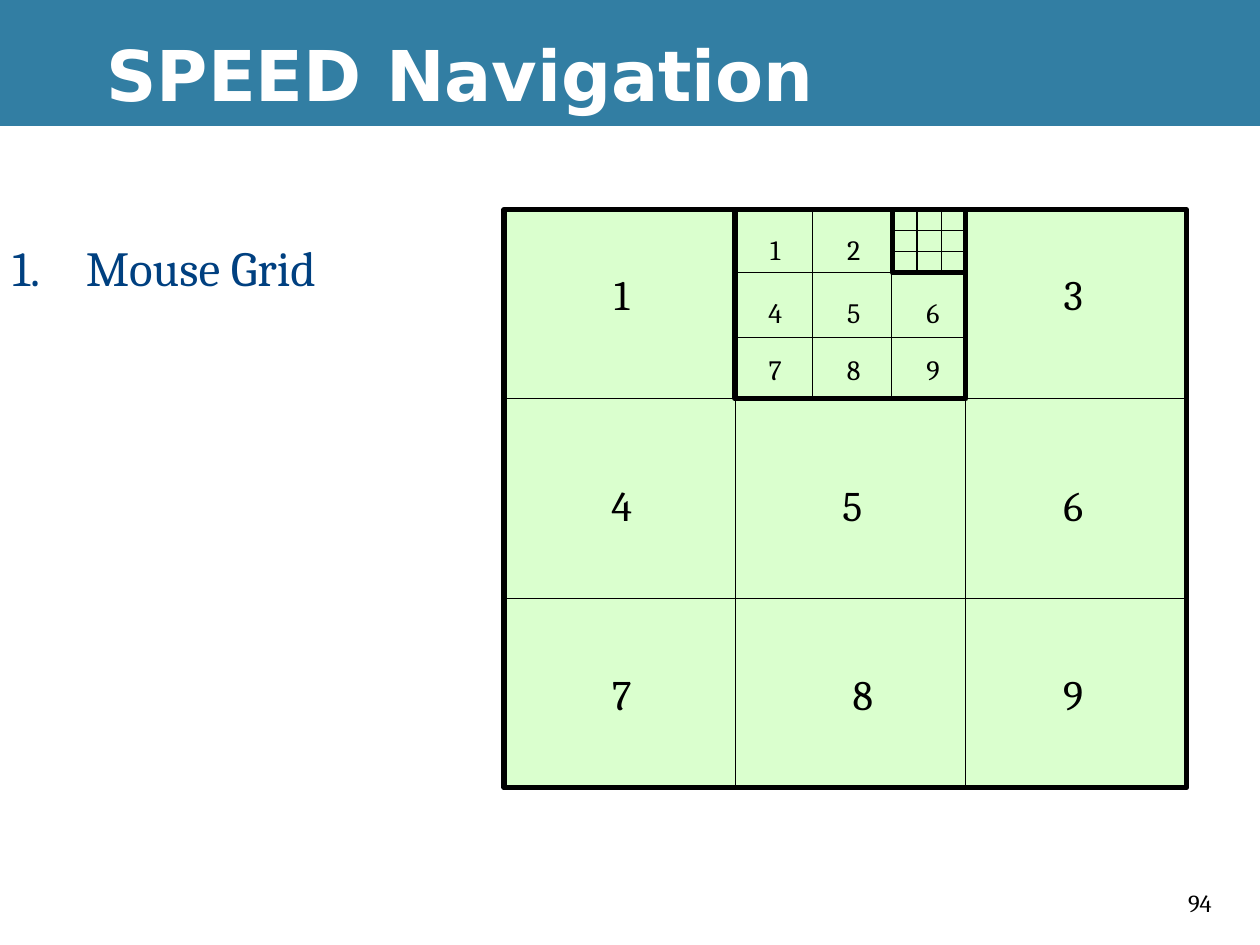
"""Build the SPEED Navigation slide with its nested mouse grid."""
from lxml import etree
from pptx import Presentation
from pptx.dml.color import RGBColor
from pptx.enum.shapes import MSO_CONNECTOR, MSO_SHAPE
from pptx.enum.text import MSO_ANCHOR, PP_ALIGN
from pptx.oxml.ns import qn
from pptx.util import Cm, Pt

BLACK = RGBColor(0x00, 0x00, 0x00)
WHITE = RGBColor(0xFF, 0xFF, 0xFF)
BANNER_BLUE = RGBColor(0x32, 0x7E, 0xA3)
TEXT_BLUE = RGBColor(0x00, 0x40, 0x80)
GRID_GREEN = RGBColor(0xDA, 0xFF, 0xCE)
RECTANGLE = MSO_SHAPE.RECTANGLE
STRAIGHT = MSO_CONNECTOR.STRAIGHT
TOP, MIDDLE = MSO_ANCHOR.TOP, MSO_ANCHOR.MIDDLE
LEFT, CENTER = PP_ALIGN.LEFT, PP_ALIGN.CENTER
SERIF, SANS = "Cambria", "DejaVu Sans"


def add_panel(shapes, left, top, width, height, fill, border=None):
    panel = shapes.add_shape(RECTANGLE, Cm(left), Cm(top), Cm(width), Cm(height))
    panel.shadow.inherit = False
    panel.fill.solid()
    panel.fill.fore_color.rgb = fill
    if border is None:
        panel.line.fill.background()
    else:
        panel.line.color.rgb = border
        panel.line.width = Pt(3)


def add_rule(shapes, x1, y1, x2, y2):
    rule = shapes.add_connector(STRAIGHT, Cm(x1), Cm(y1), Cm(x2), Cm(y2))
    rule.line.color.rgb = BLACK
    rule.line.width = Pt(0.75)
    etree.SubElement(rule._element.spPr, qn("a:effectLst"))


def add_text(shapes, text, left, top, width, height, *, size, font=SERIF,
             color=BLACK, bold=False, align=LEFT, anchor=TOP, inset=0.25,
             number_indent=None):
    box = shapes.add_textbox(Cm(left), Cm(top), Cm(width), Cm(height))
    frame = box.text_frame
    frame.word_wrap = True
    frame.vertical_anchor = anchor
    frame.margin_left = frame.margin_right = Cm(inset)
    paragraph = frame.paragraphs[0]
    paragraph.text = text
    paragraph.alignment = align
    if number_indent is not None:
        properties = paragraph._p.get_or_add_pPr()
        properties.set("marL", str(Cm(number_indent)))
        properties.set("indent", str(-Cm(number_indent)))
        etree.SubElement(properties, qn("a:buAutoNum"), type="arabicPeriod")
    paragraph.font.size = Pt(size)
    paragraph.font.name = font
    paragraph.font.bold = bold
    paragraph.font.color.rgb = color


def add_grid(shapes, columns, rows):
    """Draw a framed grid whose column and row edges are given."""
    left, right = columns[0], columns[-1]
    top, bottom = rows[0], rows[-1]
    add_panel(shapes, left, top, right - left, bottom - top, GRID_GREEN, BLACK)
    for x in columns[1:-1]:
        add_rule(shapes, x, top, x, bottom)
    for y in rows[1:-1]:
        add_rule(shapes, left, y, right, y)


def add_digits(shapes, lefts, tops, width, height, size, refined, shifts):
    """Number the cells from 1 to 9, skipping the one that is refined."""
    for digit in range(1, 10):
        if digit == refined:
            continue
        row, column = divmod(digit - 1, 3)
        add_text(shapes, str(digit), lefts[column] + shifts.get(digit, 0),
                 tops[row], width, height, size=size, align=CENTER,
                 anchor=MIDDLE, inset=0)


def thirds(start, end):
    return [start + (end - start) * step / 3 for step in range(4)]


def main():
    deck = Presentation()
    deck.slide_width, deck.slide_height = Cm(25.4), Cm(19.05)
    slide = deck.slides.add_slide(deck.slide_layouts[6])
    slide.background.fill.solid()
    slide.background.fill.fore_color.rgb = BLACK
    shapes = slide.shapes

    add_panel(shapes, 0, 2.54, 25.4, 16.51, WHITE)
    add_panel(shapes, 0, 0, 25.4, 2.54, BANNER_BLUE)
    add_text(shapes, "94", 23.7, 17.78, 1.27, 0.85, size=14)
    add_text(shapes, "SPEED Navigation", 1.9, 0.21, 23.5, 2.54, size=40,
             font=SANS, color=WHITE, bold=True, anchor=MIDDLE)
    add_text(shapes, "Mouse Grid", 0, 4.66, 9.74, 12.28, size=28,
             color=TEXT_BLUE, number_indent=1.48)

    add_grid(shapes, [10.16, 14.82, 19.47, 23.92], [4.23, 8.04, 12.07, 15.88])
    add_digits(shapes, [12.07, 16.72, 21.17], [5.29, 9.53, 13.34],
               0.93, 1.27, 24, refined=2, shifts={8: 0.21})

    second_level = shapes.add_group_shape().shapes
    add_grid(second_level, [14.82, 16.38, 17.97, 19.47], [4.23, 5.49, 6.81, 8.04])
    add_digits(second_level, [15.24, 16.82, 18.42], [4.57, 5.84, 6.99],
               0.78, 0.93, 16, refined=3, shifts={})

    add_grid(shapes, thirds(17.99, 19.47), thirds(4.23, 5.5))
    deck.save("out.pptx")


if __name__ == "__main__":
    main()
